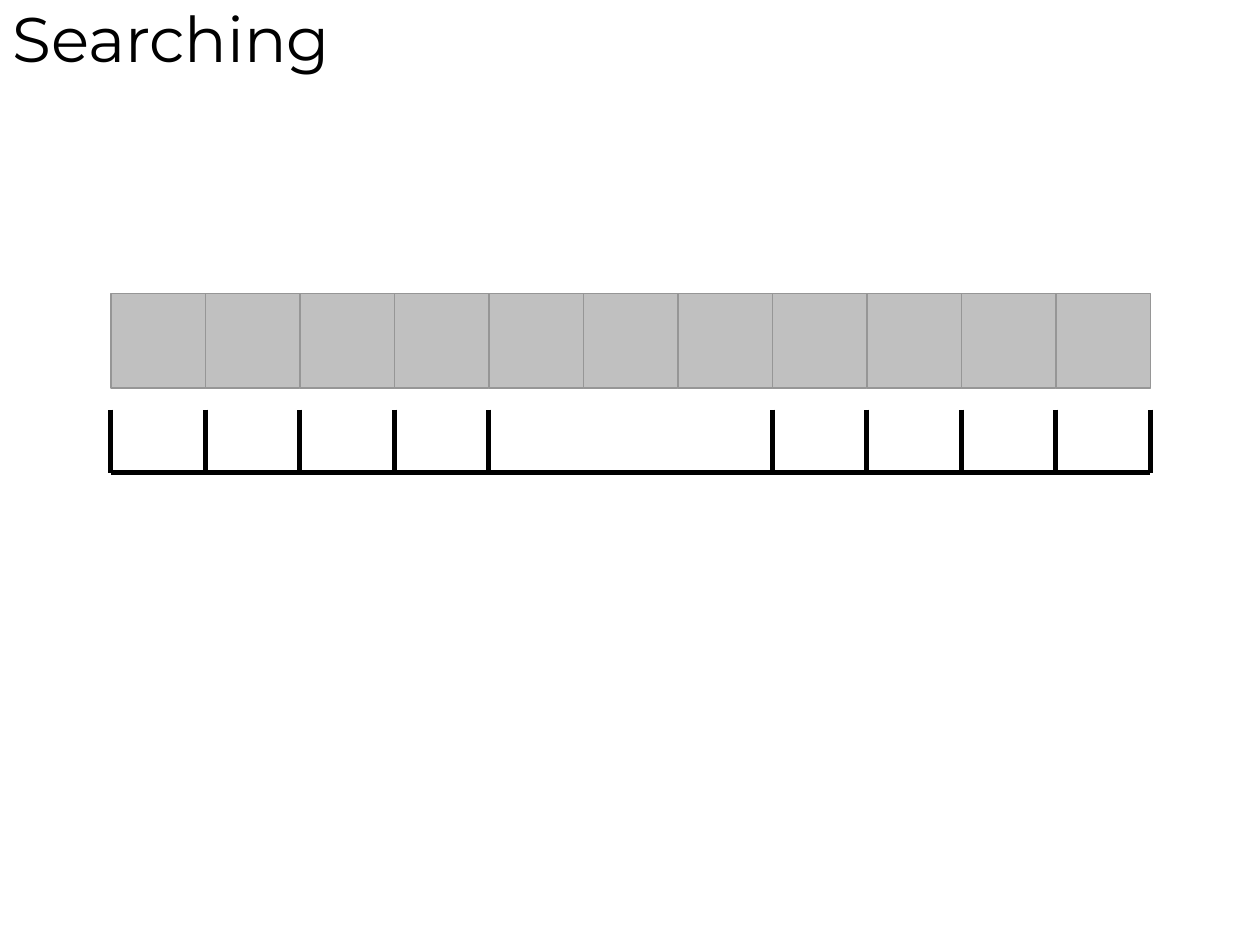
from pptx import Presentation
from pptx.dml.color import RGBColor
from pptx.enum.shapes import MSO_CONNECTOR, MSO_SHAPE
from pptx.enum.text import MSO_ANCHOR
from pptx.oxml.ns import qn
from pptx.util import Inches, Pt

RECTANGLE = MSO_SHAPE.RECTANGLE
STRAIGHT = MSO_CONNECTOR.STRAIGHT
MIDDLE = MSO_ANCHOR.MIDDLE

BLACK = RGBColor(0x00, 0x00, 0x00)
CELL_FILL = RGBColor(0xC0, 0xC0, 0xC0)
CELL_LINE = RGBColor(0x96, 0x96, 0x96)

CELL = 0.75
CELL_COUNT = 11
WINDOW_CELLS = 7
ARRAY_LEFT, ARRAY_TOP = 0.88, 2.33
BRACKET_TOP, BRACKET_HEIGHT = 3.25, 0.5


def add_title(page, text, left, top, width, height):
    box = page.shapes.add_textbox(*map(Inches, (left, top, width, height)))
    frame = box.text_frame
    frame.word_wrap = True
    frame.vertical_anchor = MIDDLE
    para = frame.paragraphs[0]
    para.text = text
    para.font.name = "Montserrat"
    para.font.size = Pt(36)
    para.font.color.rgb = BLACK


def add_array(page, left, top, cell, count):
    """Draw a row of equal square cells as one group."""
    group = page.shapes.add_group_shape()
    for index in range(count):
        square = group.shapes.add_shape(
            RECTANGLE, Inches(left + index * cell), Inches(top),
            Inches(cell), Inches(cell))
        square.shadow.inherit = False
        square.fill.solid()
        square.fill.fore_color.rgb = CELL_FILL
        square.line.color.rgb = CELL_LINE
        square.line.width = Pt(0.75)


def add_line(group, start, end):
    line = group.shapes.add_connector(
        STRAIGHT, *map(Inches, (*start, *end)))
    line.line.color.rgb = BLACK
    line.line.width = Pt(3)
    properties = line._element.spPr
    properties.append(properties.makeelement(qn("a:effectLst"), {}))


def add_bracket(page, left, top, width, height):
    """Draw one search window: two uprights joined along the bottom."""
    group = page.shapes.add_group_shape()
    right, bottom = left + width, top + height
    add_line(group, (left, top), (left, bottom))
    add_line(group, (right, top), (right, bottom))
    add_line(group, (left, bottom), (right, bottom))


def main():
    deck = Presentation()
    deck.slide_width, deck.slide_height = Inches(10), Inches(7.5)
    page = deck.slides.add_slide(deck.slide_layouts[6])

    add_title(page, "Searching", 0, -0.08, 10, 0.75)
    add_array(page, ARRAY_LEFT, ARRAY_TOP, CELL, CELL_COUNT)
    for shift in range(CELL_COUNT - WINDOW_CELLS + 1):
        add_bracket(page, ARRAY_LEFT + shift * CELL, BRACKET_TOP,
                    WINDOW_CELLS * CELL, BRACKET_HEIGHT)

    deck.save("out.pptx")


if __name__ == "__main__":
    main()
